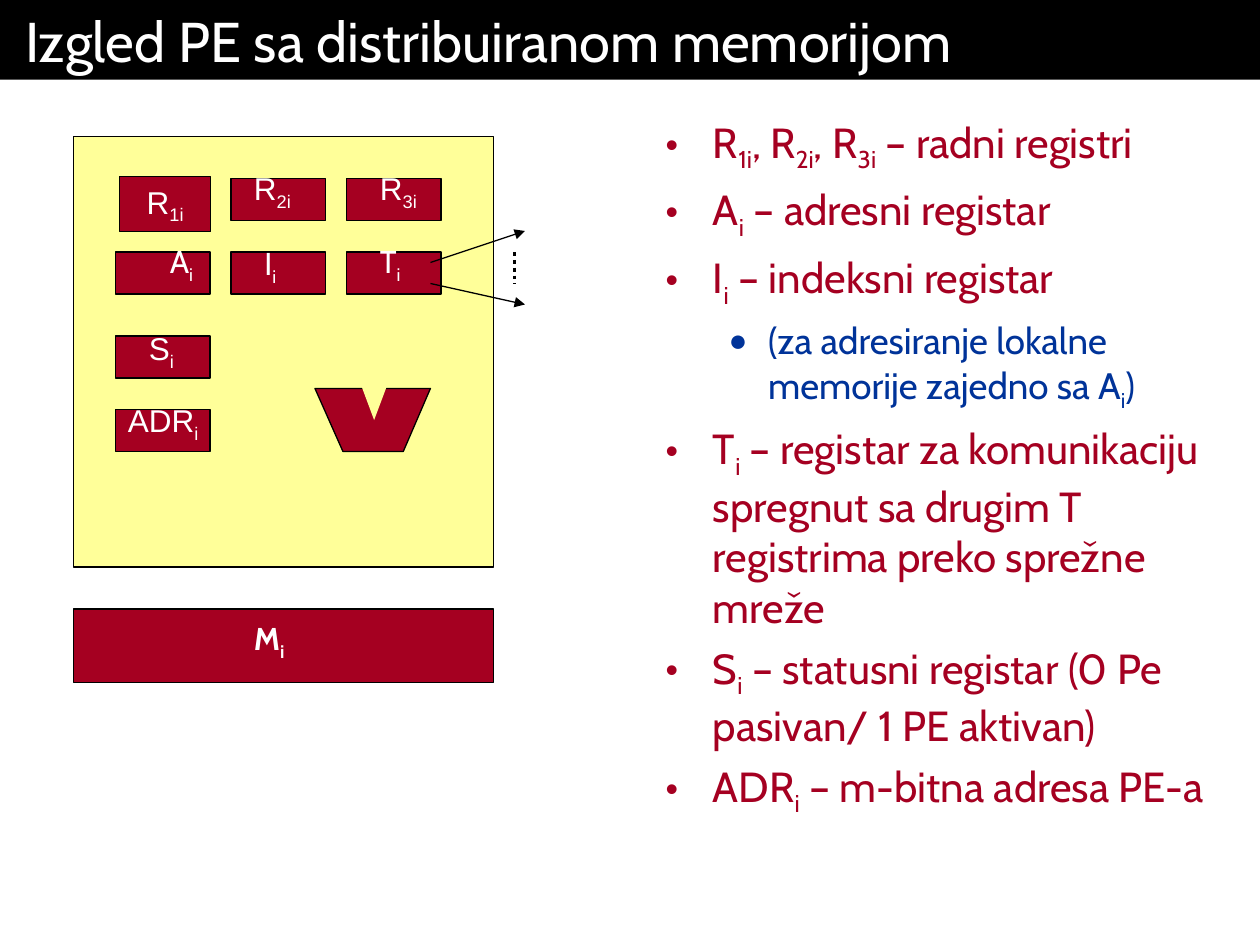
"""Build a slide on the layout of a processing element with distributed memory."""
import lxml.etree
import pptx
import pptx.dml.color
import pptx.enum.dml
import pptx.enum.shapes
import pptx.enum.text
import pptx.oxml.ns
import pptx.util

Pt = pptx.util.Pt
Shape = pptx.enum.shapes.MSO_SHAPE
Anchor = pptx.enum.text.MSO_ANCHOR
Align = pptx.enum.text.PP_ALIGN
BLACK, WHITE, RED, BLUE, YELLOW = "000000", "FFFFFF", "A50021", "003399", "FFFF99"


def color(value):
    return pptx.dml.color.RGBColor.from_string(value)


def add_xml(parent, tag, **attributes):
    return lxml.etree.SubElement(parent, pptx.oxml.ns.qn(tag), attributes)


def write(para, text, font="Cabin", size=18, ink=WHITE, bold=False, align=Align.LEFT):
    """Write text in which underscores enclose subscripts."""
    para.alignment = align
    for index, part in enumerate(text.split("_")):
        if part:
            span = para.add_run()
            span.text = part
            span.font.name, span.font.size, span.font.bold = font, Pt(size), bold
            span.font.color.rgb = color(ink)
            if index % 2:
                span.font._element.set("baseline", "-25000")


class Page:
    def __init__(self, deck):
        self.slide = deck.slides.add_slide(deck.slide_layouts[1])
        self.shapes = self.slide.shapes

    def frame(self, box, anchor, across=14.4, down=3.6, wrap=True):
        frame = box.text_frame
        frame.auto_size = pptx.enum.text.MSO_AUTO_SIZE.NONE
        frame.word_wrap = wrap
        frame.vertical_anchor = anchor
        frame.margin_left = frame.margin_right = Pt(across)
        frame.margin_top = frame.margin_bottom = Pt(down)
        return frame

    def place(self, box, left, top, width, height):
        box.left, box.top, box.width, box.height = map(Pt, (left, top, width, height))

    def title(self, text):
        box = self.shapes.title
        self.place(box, 0, 0, 720, 45.5)
        box.fill.solid()
        box.fill.fore_color.rgb = color(BLACK)
        write(self.frame(box, Anchor.TOP).paragraphs[0], text, size=32)

    def bullets(self, items):
        box = self.slide.placeholders[1]
        self.place(box, 366, 55.5, 354, 484.5)
        frame = self.frame(box, Anchor.TOP, down=10.8)
        styles = [(24, RED, 6, 27, 27, "•"), (21, BLUE, 5.2, 58.5, 22.5, "●")]
        for index, (level, text) in enumerate(items):
            para = frame.add_paragraph() if index else frame.paragraphs[0]
            size, ink, before, margin, hanging, mark = styles[level]
            para.level, para.space_before = level, Pt(before)
            write(para, text, size=size, ink=ink)
            props = para._p.get_or_add_pPr()
            props.set("marL", str(Pt(margin)))
            props.set("indent", str(-Pt(hanging)))
            add_xml(add_xml(props, "a:buClr"), "a:srgbClr", val=ink)
            add_xml(props, "a:buSzPct", val="85000")
            add_xml(props, "a:buFont", typeface="Arial")
            add_xml(props, "a:buChar", char=mark)

    def paint(self, shape, fill, outlined=True):
        shape.shadow.inherit = False
        shape.fill.solid()
        shape.fill.fore_color.rgb = color(fill)
        if outlined:
            shape.line.color.rgb = color(BLACK)
            shape.line.width = Pt(0.75)
        else:
            shape.line.fill.background()
        return shape

    def block(self, left, top, width, height, fill=RED, kind=Shape.RECTANGLE, outlined=True):
        shape = self.shapes.add_shape(kind, *map(Pt, (left, top, width, height)))
        return self.paint(shape, fill, outlined)

    def polygon(self, points):
        start, *rest = [(Pt(x), Pt(y)) for x, y in points]
        builder = self.shapes.build_freeform(*start)
        builder.add_line_segments(rest)
        return self.paint(builder.convert_to_shape(), RED)

    def label(self, text, left, top, width, **style):
        box = self.shapes.add_textbox(*map(Pt, (left, top, width, 31.5)))
        frame = self.frame(box, Anchor.BOTTOM, across=7.2, wrap=False)
        write(frame.paragraphs[0], text, **style)

    def line(self, start, end, width=0.75, arrow=False, dash=None):
        straight = pptx.enum.shapes.MSO_CONNECTOR.STRAIGHT
        line = self.shapes.add_connector(straight, *map(Pt, start + end))
        line.line.color.rgb = color(BLACK)
        line.line.width = Pt(width)
        if dash:
            line.line.dash_style = dash
        if arrow:
            add_xml(line.line._get_or_add_ln(), "a:tailEnd", type="triangle")
        add_xml(line._element.spPr, "a:effectLst")


def main():
    deck = pptx.Presentation()
    deck.slide_width, deck.slide_height = Pt(720), Pt(540)
    page = Page(deck)
    page.title("Izgled PE sa distribuiranom memorijom")
    page.bullets([
        (0, "R_1i_, R_2i_, R_3i_ – radni registri"),
        (0, "A_i_ – adresni registar"),
        (0, "I_i_ – indeksni registar"),
        (1, "(za adresiranje lokalne memorije zajedno sa A_i_)"),
        (0, "T_i_ – registar za komunikaciju spregnut sa drugim T registrima preko sprežne mreže"),
        (0, "S_i_ – statusni registar (0 Pe pasivan/ 1 PE aktivan)"),
        (0, "ADR_i_ – m-bitna adresa PE-a"),
    ])

    page.block(42, 78, 240, 246, YELLOW)
    first = page.block(68.4, 100.8, 52, 31.7)
    frame = page.frame(first, Anchor.MIDDLE, across=7.2)
    write(frame.paragraphs[0], "R_1i_", font="Arial", align=Align.CENTER)
    columns = (66, 132, 198)
    for top, lefts in ((102, columns[1:]), (144, columns), (192, columns[:1]), (234, columns[:1])):
        for left in lefts:
            page.block(left, top, 54, 24)

    page.polygon([(180, 222), (196, 258), (230.5, 258), (246, 222)])
    notch = page.block(204, 216, 18, 24, YELLOW, Shape.ISOSCELES_TRIANGLE, outlined=False)
    notch.adjustments[0] = 0.42
    notch.rotation = 183.1
    page.block(42, 348, 240, 42)

    for text, left, top, width, font in (
        ("R_2i_", 138, 93, 36.7, "Arial"),
        ("R_3i_", 210, 93, 36.7, "Arial"),
        ("A_i_", 90, 135, 28, "Cabin"),
        ("I_i_", 144, 136, 24, "Cabin"),
        ("T_i_", 210, 135, 26.5, "Cabin"),
        ("S_i_", 78, 184.5, 29, "Arial"),
        ("ADR_i_", 66, 226, 54.5, "Arial"),
    ):
        page.label(text, left, top, width, font=font)
    page.label("M_i_", 138, 350.5, 34.5, bold=True)

    page.line((246, 150), (300, 132), arrow=True)
    page.line((246, 162), (300, 174), arrow=True)
    page.line((294, 144), (294, 162), width=2.25, dash=pptx.enum.dml.MSO_LINE.ROUND_DOT)
    deck.save("out.pptx")


if __name__ == "__main__":
    main()
